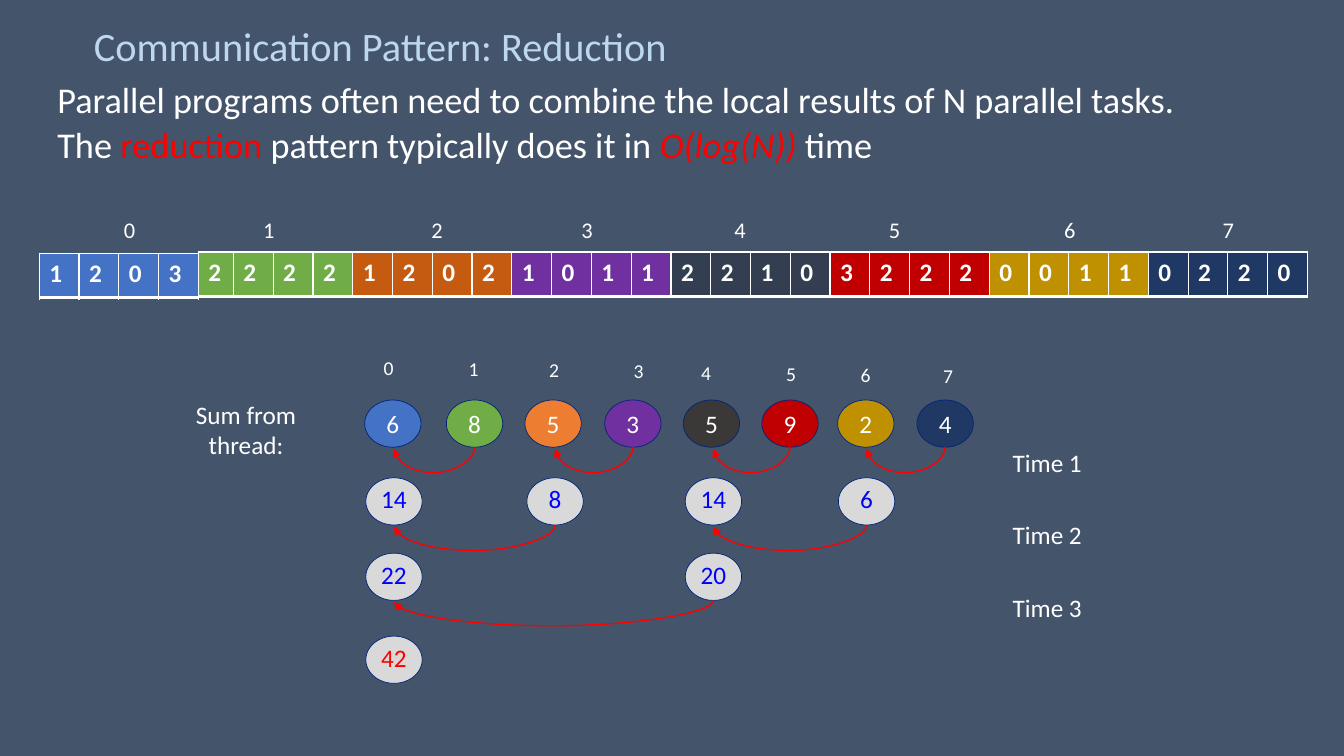
import lxml.etree
import pptx
import pptx.dml.color
import pptx.enum.shapes
import pptx.enum.text
import pptx.oxml
import pptx.oxml.ns
import pptx.util

Cm = pptx.util.Cm
Pt = pptx.util.Pt
qn = pptx.oxml.ns.qn
ALIGN = pptx.enum.text.PP_ALIGN
ANCHOR = pptx.enum.text.MSO_ANCHOR
FIT = pptx.enum.text.MSO_AUTO_SIZE
NAMESPACE = pptx.oxml.ns.nsdecls("a")

COLOURS = {
    "background": "44546A", "title": "BDD7EE", "white": "FFFFFF", "red": "FF0000",
    "number": "0000FF", "partial": "D9D9D9", "outline": "012479",
    "blue": "4472C4", "green": "70AD47", "rust": "C55A11", "orange": "ED7D31",
    "purple": "7030A0", "slate": "333F50", "charcoal": "3B3838",
    "crimson": "C00000", "gold": "BF9000", "navy": "203864",
}
RGB = {name: pptx.dml.color.RGBColor.from_string(code) for name, code in COLOURS.items()}


def write(para, text, size=18, colour="white", bold=False, italic=False, align=ALIGN.LEFT):
    """Append one formatted span to a paragraph."""
    para.alignment = align
    span = para.add_run()
    span.text = text
    span.font.name = "Calibri"
    span.font.size = Pt(size)
    span.font.color.rgb = RGB[colour]
    span.font.bold = bold
    span.font.italic = italic


def add_label(text, left, top, width, height, wrap=False, **style):
    box = page.shapes.add_textbox(Cm(left), Cm(top), Cm(width), Cm(height))
    box.text_frame.word_wrap = wrap
    box.text_frame.auto_size = FIT.SHAPE_TO_FIT_TEXT
    write(box.text_frame.paragraphs[0], text, **style)
    return box


deck = pptx.Presentation()
deck.slide_width = Cm(33.87)
deck.slide_height = Cm(19.05)
page = deck.slides.add_slide(deck.slide_layouts[1])
page.background.fill.solid()
page.background.fill.fore_color.rgb = RGB["background"]

# Title and introduction
title = page.shapes.title
body = page.placeholders[1]
for holder, left, top, width, height, anchor in (
    (title, 2.11, 0.51, 29.21, 1.4, ANCHOR.MIDDLE),
    (body, 1.19, 2.13, 29.92, 2.34, ANCHOR.TOP),
):
    holder.left, holder.top = Cm(left), Cm(top)
    holder.width, holder.height = Cm(width), Cm(height)
    holder.text_frame.word_wrap = True
    holder.text_frame.auto_size = FIT.NONE
    holder.text_frame.vertical_anchor = anchor

heading = title.text_frame.paragraphs[0]
heading.line_spacing = 0.9
write(heading, "Communication Pattern: Reduction", size=28.8, colour="title")

sentences = [
    [("Parallel programs often need to combine the local results of N parallel tasks.", {})],
    [
        ("The ", {}),
        ("reduction ", {"colour": "red"}),
        ("pattern typically does it in ", {}),
        ("O(log(N)) ", {"colour": "red", "italic": True}),
        ("time", {}),
    ],
]
for index, spans in enumerate(sentences):
    para = body.text_frame.add_paragraph() if index else body.text_frame.paragraphs[0]
    properties = para._p.get_or_add_pPr()
    properties.set("marL", "0")
    properties.set("indent", "0")
    lxml.etree.SubElement(properties, qn("a:buNone"))
    para.line_spacing = 0.7
    para.space_before = Pt(10 if index else 0)
    for text, style in spans:
        write(para, text, size=25.9, **style)

# Input array, one block of four values per thread:
# values, block colour, sum colour, block label left, sum left, sum label left
threads = [
    ([1, 2, 0, 3], "blue", "blue", 2.87, 9.19, 9.42),
    ([2, 2, 2, 2], "green", "green", 6.38, 11.25, 11.56),
    ([1, 2, 0, 2], "rust", "orange", 10.62, 13.23, 13.59),
    ([1, 0, 1, 1], "purple", "purple", 14.4, 15.24, 15.72),
    ([2, 2, 1, 0], "slate", "charcoal", 18.26, 17.22, 17.42),
    ([3, 2, 2, 2], "crimson", "crimson", 22.15, 19.2, 19.56),
    ([0, 0, 1, 1], "gold", "gold", 26.57, 21.11, 21.44),
    ([0, 2, 2, 0], "navy", "navy", 30.56, 23.11, 23.52),
]
block_left, block_width = 0.99, 4.01
for thread, (values, fill, _, label_left, _, _) in enumerate(threads):
    add_label(str(thread), label_left, 5.31, 0.81, 0.94, size=16)
    trim = 0.12 if thread == 1 else 0
    block_top = 6.35 if thread else 6.38
    table = page.shapes.add_table(
        1, 4, Cm(block_left), Cm(block_top), Cm(block_width - trim), Cm(1.12)
    ).table
    table.first_row = table.horz_banding = False
    for column, value in enumerate(values):
        table.columns[column].width = Cm(block_width / 4 - (0 if column else trim))
        cell = table.cell(0, column)
        for side, points in (("L", 1), ("R", 1), ("T", 1), ("B", 3)):
            cell._tc.get_or_add_tcPr().append(pptx.oxml.parse_xml(
                f'<a:ln{side} {NAMESPACE} w="{Pt(points)}"><a:solidFill>'
                f'<a:srgbClr val="{COLOURS["white"]}"/></a:solidFill></a:ln{side}>'
            ))
        cell.fill.solid()
        cell.fill.fore_color.rgb = RGB[fill]
        write(cell.text_frame.paragraphs[0], str(value), bold=True)
    block_left += block_width - trim

# Reduction tree: each row of circles adds up pairs from the row above
circle_width, circle_height = 1.42, 1.19
sums = [sum(thread[0]) for thread in threads]
sum_lefts = [thread[4] for thread in threads]
tree = [(10.08, sum_lefts, sums, [thread[2] for thread in threads], "white")]
partial_lefts = [9.22, 13.28, 17.27, 21.13]
for top, step, colour in ((12.04, 1, "number"), (13.94, 2, "number"), (16.03, 4, "red")):
    sums = [first + second for first, second in zip(sums[::2], sums[1::2])]
    tree.append((top, partial_lefts[::step], sums, ["partial"] * len(sums), colour))

for level, (top, lefts, totals, fills, colour) in enumerate(tree):
    for left, total, fill in zip(lefts, totals, fills):
        circle = page.shapes.add_shape(
            pptx.enum.shapes.MSO_SHAPE.OVAL,
            Cm(left), Cm(top), Cm(circle_width), Cm(circle_height),
        )
        circle.shadow.inherit = False
        circle.fill.solid()
        circle.fill.fore_color.rgb = RGB[fill]
        circle.line.color.rgb = RGB["outline"]
        circle.line.width = Pt(0.5)
        frame = circle.text_frame
        frame.margin_left = frame.margin_right = frame.margin_top = 0
        frame.margin_bottom = Cm(0.13 if level else 0)
        frame.vertical_anchor = ANCHOR.MIDDLE
        write(frame.paragraphs[0], str(total), colour=colour, align=ALIGN.CENTER)

# Arrows sag below the circles, so each connector is turned by a quarter
drop, sag = 0.04, 0.64
for (top, sources, *_), (_, targets, *_) in zip(tree, tree[1:]):
    for source, target in zip(sources[1::2], targets):
        reach = source - target
        middle_x = (source + target + circle_width) / 2
        middle_y = top + circle_height + drop / 2
        arrow = page.shapes.add_connector(
            pptx.enum.shapes.MSO_CONNECTOR.CURVE,
            Cm(middle_x - drop / 2), Cm(middle_y - reach / 2),
            Cm(middle_x + drop / 2), Cm(middle_y + reach / 2),
        )
        arrow.line.color.rgb = RGB["red"]
        arrow.line.width = Pt(1)
        shape_properties = arrow._element.spPr
        shape_properties.find(qn("a:xfrm")).set("rot", "5400000")
        guides = shape_properties.find(qn("a:prstGeom")).get_or_add_avLst()
        lxml.etree.SubElement(
            guides, qn("a:gd"), name="adj1", fmla=f"val {round(sag / drop * 100000)}"
        )
        lxml.etree.SubElement(
            shape_properties.find(qn("a:ln")), qn("a:tailEnd"), type="triangle"
        )
        lxml.etree.SubElement(shape_properties, qn("a:effectLst"))

# Labels around the tree
for thread, (*_, label_left) in enumerate(threads):
    add_label(str(thread), label_left, 8.84 + 0.03 * thread, 0.76, 0.86, size=14)
caption = add_label("Sum from", 4.55, 9.93, 3.3, 1.8, wrap=True, align=ALIGN.CENTER)
caption_para = caption.text_frame.paragraphs[0]
caption_para.add_line_break()
write(caption_para, "thread:", align=ALIGN.CENTER)
for step in range(3):
    add_label(f"Time {step + 1}", 25.27, 11.15 + 1.82 * step, 2.54, 1.02, wrap=True)

deck.save("out.pptx")
